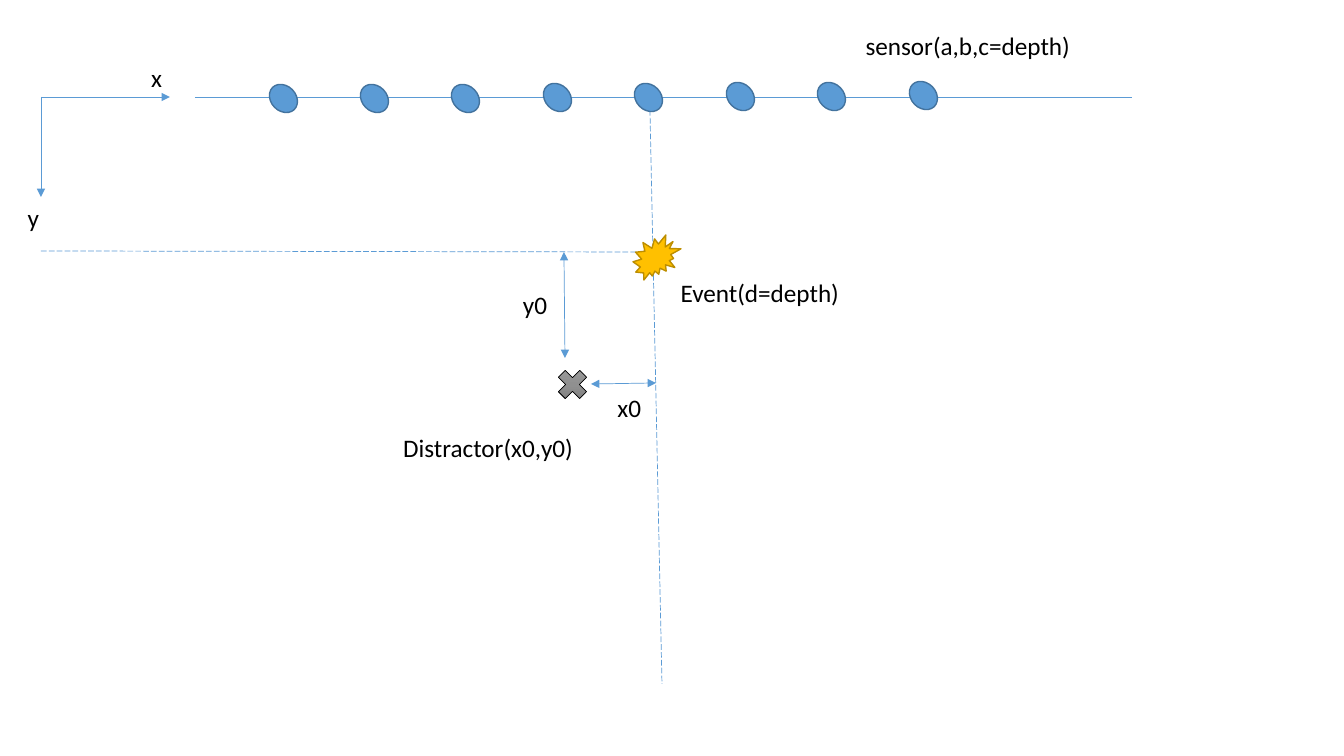
"""Draw a sensor line above an event and a distractor, with their axes and offsets."""
from copy import deepcopy
from dataclasses import dataclass

from lxml.etree import SubElement
from pptx import Presentation
from pptx.dml.color import RGBColor
from pptx.enum.dml import MSO_LINE
from pptx.enum.shapes import MSO_CONNECTOR, MSO_SHAPE
from pptx.enum.text import MSO_AUTO_SIZE, PP_ALIGN
from pptx.oxml.ns import qn
from pptx.shapes.autoshape import Shape
from pptx.slide import Slide
from pptx.util import Emu, Pt

EMU_PER_PX = 914400 / 100.8
BLUE = RGBColor(0x5B, 0x9B, 0xD5)
DARK_BLUE = RGBColor(0x43, 0x73, 0x9E)
GOLD = RGBColor(0xFF, 0xC0, 0x00)
DARK_GOLD = RGBColor(0xBD, 0x8E, 0x00)
BLACK = RGBColor(0x00, 0x00, 0x00)
GRAYS = (RGBColor(0x9D, 0x9D, 0x9D), RGBColor(0x90, 0x90, 0x90), RGBColor(0x7C, 0x7C, 0x7C))
SENSOR_COUNT = 8
SENSOR_SPAN = 640
SENSOR_RISE = 3
LABEL_HEIGHT = 40


@dataclass(frozen=True)
class Line:
    start: tuple[int, int]
    end: tuple[int, int]
    dashed: bool = False
    arrows: tuple[str, ...] = ()


@dataclass(frozen=True)
class Label:
    text: str
    left: int
    top: int
    width: int


GUIDES = (
    Line((41, 251), (649, 252), dashed=True),
    Line((650, 110), (662, 684), dashed=True),
    Line((195, 97), (1132, 97)),
)
ARROWS = (
    Line((41, 97), (170, 97), arrows=("tailEnd",)),
    Line((41, 97), (41, 197), arrows=("tailEnd",)),
    Line((564, 252), (565, 358), arrows=("headEnd", "tailEnd")),
    Line((591, 384), (656, 383), arrows=("headEnd", "tailEnd")),
)
LABELS = (
    Label("x", 141, 57, 31),
    Label("y", 17, 197, 32),
    Label("Event(d=depth)", 669, 272, 180),
    Label("Distractor(x0,y0)", 391, 427, 192),
    Label("y0", 513, 284, 44),
    Label("x0", 607, 387, 44),
    Label("sensor(a,b,c=depth)", 852, 25, 228),
)


def px(length: int) -> Emu:
    return Emu(round(length * EMU_PER_PX))


def draw_line(slide: Slide, line: Line) -> None:
    connector = slide.shapes.add_connector(
        MSO_CONNECTOR.STRAIGHT, *map(px, line.start + line.end)
    )
    connector.line.color.rgb = BLUE
    connector.line.width = Pt(0.5)
    if line.dashed:
        connector.line.dash_style = MSO_LINE.LONG_DASH
    properties = connector.element.spPr
    for arrow in line.arrows:
        SubElement(properties.find(qn("a:ln")), qn(f"a:{arrow}"), type="triangle")
    SubElement(properties, qn("a:effectLst"))


def set_outline(shape: Shape, color: RGBColor, width: float) -> None:
    shape.shadow.inherit = False
    shape.line.color.rgb = color
    shape.line.width = Pt(width)


def draw_sensors(slide: Slide) -> None:
    group = slide.shapes.add_group_shape()
    gaps = SENSOR_COUNT - 1
    for index in range(SENSOR_COUNT):
        left = 271 + index * SENSOR_SPAN // gaps
        top = 83 - index * SENSOR_RISE // gaps
        sensor = group.shapes.add_shape(MSO_SHAPE.OVAL, px(left), px(top), px(25), px(31))
        sensor.rotation = 315.5
        sensor.fill.solid()
        sensor.fill.fore_color.rgb = BLUE
        set_outline(sensor, DARK_BLUE, 1)


def draw_event(slide: Slide) -> None:
    event = slide.shapes.add_shape(MSO_SHAPE.EXPLOSION2, px(633), px(235), px(48), px(45))
    event.fill.solid()
    event.fill.fore_color.rgb = GOLD
    set_outline(event, DARK_GOLD, 1)


def draw_distractor(slide: Slide) -> None:
    distractor = slide.shapes.add_shape(
        MSO_SHAPE.MATH_MULTIPLY, px(552), px(364), px(41), px(41)
    )
    distractor.fill.gradient()
    distractor.fill.gradient_angle = 270
    stop_list = distractor.element.spPr.find(f".//{qn('a:gsLst')}")
    stop_list.append(deepcopy(stop_list[-1]))
    for index, (stop, gray) in enumerate(zip(distractor.fill.gradient_stops, GRAYS)):
        stop.position = index / 2
        stop.color.rgb = gray
    set_outline(distractor, BLACK, 0.5)


def draw_label(slide: Slide, label: Label) -> None:
    box = slide.shapes.add_textbox(
        px(label.left), px(label.top), px(label.width), px(LABEL_HEIGHT)
    )
    box.text_frame.word_wrap = False
    box.text_frame.auto_size = MSO_AUTO_SIZE.SHAPE_TO_FIT_TEXT
    paragraph = box.text_frame.paragraphs[0]
    paragraph.alignment = PP_ALIGN.RIGHT
    run = paragraph.add_run()
    run.text = label.text
    run.font.name = "Calibri"
    run.font.size = Pt(18)
    run.font.color.rgb = BLACK


def main() -> None:
    presentation = Presentation()
    presentation.slide_width = px(1344)
    presentation.slide_height = px(756)
    slide = presentation.slides.add_slide(presentation.slide_layouts[6])
    for guide in GUIDES:
        draw_line(slide, guide)
    draw_sensors(slide)
    draw_event(slide)
    draw_distractor(slide)
    for arrow in ARROWS:
        draw_line(slide, arrow)
    for label in LABELS:
        draw_label(slide, label)
    presentation.save("out.pptx")


if __name__ == "__main__":
    main()
